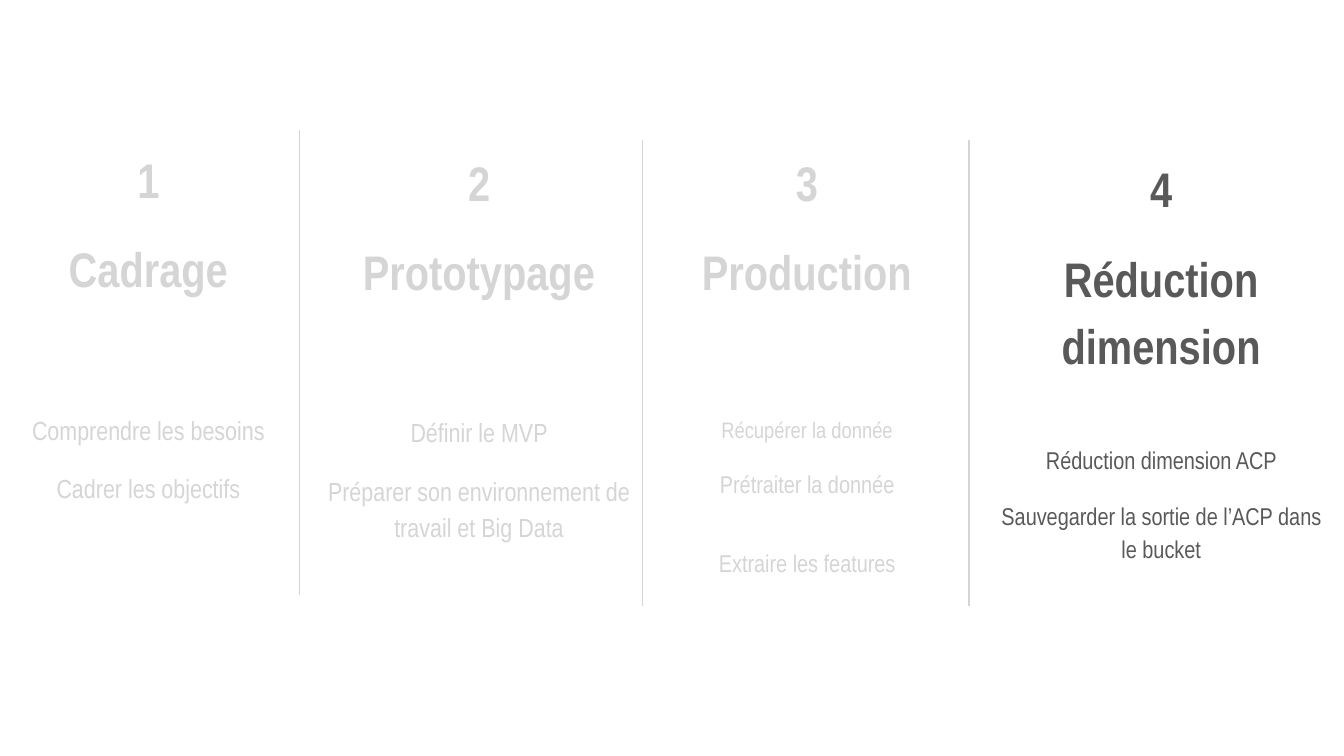
from lxml import etree
from pptx import Presentation
from pptx.dml.color import RGBColor
from pptx.enum import shapes, text
from pptx.oxml.ns import qn
from pptx.util import Inches, Pt

GRAY = RGBColor(0x59, 0x59, 0x59)
WHITE = RGBColor(0xFF, 0xFF, 0xFF)
FONT = "Arial Narrow"
HEADING_SIZE = 26

STEPS = [
    ((0, 0.95, 2.21, 3.82), "1", "Cadrage", 60,
     [("Comprendre les besoins", 14, 0), ("Cadrer les objectifs", 14, 0)]),
    ((2.34, 0.97, 2.45, 3.81), "2", "Prototypage", 60,
     [("Définir le MVP", 14, 0),
      ("Préparer son environnement de travail et Big Data", 14, 0)]),
    ((4.89, 0.97, 2.23, 3.81), "3", "Production", 60,
     [("Récupérer la donnée", 12, 0), ("Prétraiter la donnée", 13, 12),
      ("Extraire les features", 13, 12)]),
    ((7.29, 1.02, 2.7, 3.81), "4", "Réduction dimension", 36,
     [("Réduction dimension ACP", 13, 0),
      ("Sauvegarder la sortie de l’ACP dans le bucket", 13, 0)]),
]
DIVIDERS = [(2.23, 0.97, 4.43), (4.78, 1.04, 4.51), (7.21, 1.04, 4.51)]


def format_paragraph(para, size, bold, before, after):
    para.alignment = text.PP_ALIGN.CENTER
    para.line_spacing = 1.15
    para.space_before = Pt(before)
    para.space_after = Pt(after)
    properties = para._p.get_or_add_pPr()
    properties.set("marL", "0")
    properties.set("indent", "0")
    etree.SubElement(properties, qn("a:buNone"))
    for span in para.runs:
        span.font.name = FONT
        span.font.size = Pt(size)
        span.font.bold = bold
        span.font.color.rgb = GRAY


def fill_step(body, box, number, heading, gap, tasks):
    body.left, body.top, body.width, body.height = map(Inches, box)
    frame = body.text_frame
    frame.text = "\n".join([number, heading] + [task[0] for task in tasks])
    frame.word_wrap = True
    frame.auto_size = text.MSO_AUTO_SIZE.NONE
    frame.vertical_anchor = text.MSO_ANCHOR.TOP
    frame.margin_left = frame.margin_right = Inches(0.1)
    frame.margin_top = frame.margin_bottom = Inches(0.1)
    number_para, heading_para, *task_paras = frame.paragraphs
    format_paragraph(number_para, HEADING_SIZE, True, 0, 0)
    format_paragraph(heading_para, HEADING_SIZE, True, 12, 0)
    for index, (para, (_, size, after)) in enumerate(zip(task_paras, tasks)):
        format_paragraph(para, size, False, 12 if index else gap, after)


def add_divider(page, x, top, bottom):
    line = page.shapes.add_connector(
        shapes.MSO_CONNECTOR.STRAIGHT,
        Inches(x), Inches(top), Inches(x), Inches(bottom))
    line.line.color.rgb = GRAY
    line.line.width = Pt(0.75)
    etree.SubElement(line._element.spPr, qn("a:effectLst"))


def add_veil(page, box):
    veil = page.shapes.add_shape(
        shapes.MSO_SHAPE.RECTANGLE, *map(Inches, box))
    veil.shadow.inherit = False
    veil.line.fill.background()
    veil.fill.solid()
    veil.fill.fore_color.rgb = WHITE
    color = veil._element.spPr.find(qn("a:solidFill"))[0]
    etree.SubElement(color, qn("a:alpha"), val="75000")


def main():
    deck = Presentation()
    deck.slide_width = Inches(10)
    deck.slide_height = deck.slide_width * 9 // 16
    page = deck.slides.add_slide(deck.slide_layouts.get_by_name("Comparison"))
    title, *bodies = page.placeholders
    title._element.getparent().remove(title._element)
    for body, step in zip(bodies, STEPS):
        fill_step(body, *step)
    for divider in DIVIDERS:
        add_divider(page, *divider)
    add_veil(page, (0, 0.51, 7.41, 4.21))
    deck.save("out.pptx")


if __name__ == "__main__":
    main()
